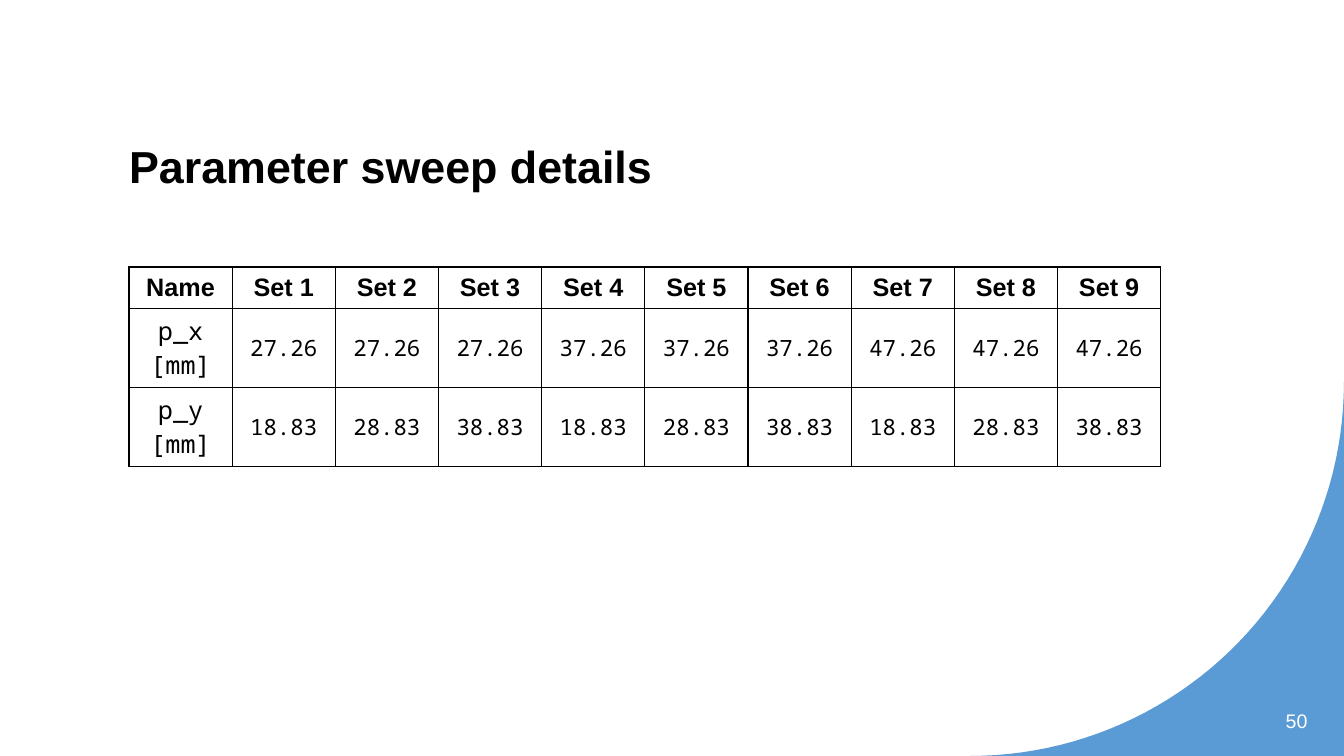
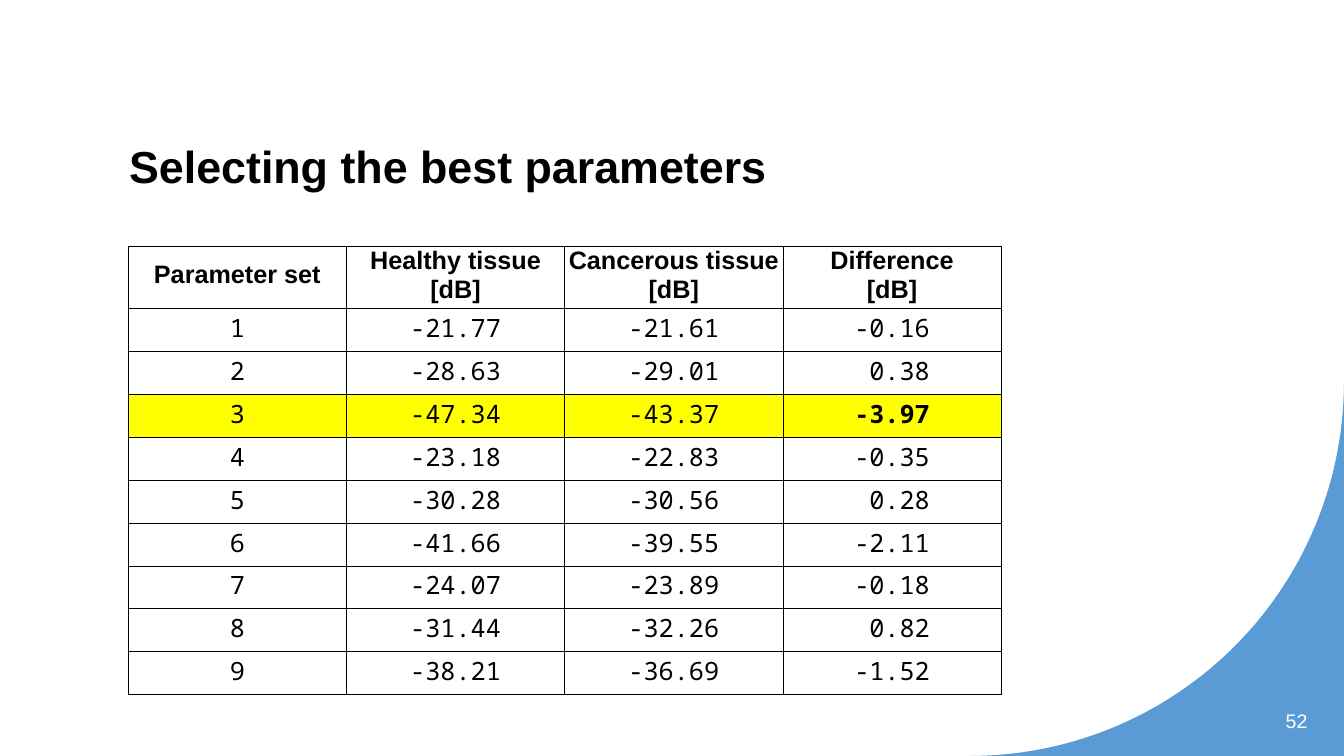
import math

import pptx
import pptx.dml.color
import pptx.enum.text
import pptx.oxml
import pptx.oxml.ns
import pptx.util

Cm, Pt = pptx.util.Cm, pptx.util.Pt
ALIGN, ANCHOR = pptx.enum.text.PP_ALIGN, pptx.enum.text.MSO_ANCHOR

# Content
SLIDES = [
    {
        "title": "Parameter sweep details",
        "number": "50",
        "rows": [
            ["Name"] + [f"Set {index}" for index in range(1, 10)],
            ["p_x [mm]"] + ["27.26"] * 3 + ["37.26"] * 3 + ["47.26"] * 3,
            ["p_y [mm]"] + ["18.83", "28.83", "38.83"] * 3,
        ],
        "left": 3.25, "top": 6.73, "column": 2.6, "heights": (1.04, 1.98),
        "margins": (0.25, 0.13, 0.25, 0.13), "border": 1, "value_size": 16,
    },
    {
        "title": "Selecting the best parameters",
        "number": "52",
        "rows": [
            ["Parameter set", "Healthy tissue [dB]", "Cancerous tissue [dB]", "Difference\n[dB]"],
            ["1", "-21.77", "-21.61", "-0.16"],
            ["2", "-28.63", "-29.01", "0.38"],
            ["3", "-47.34", "-43.37", "-3.97"],
            ["4", "-23.18", "-22.83", "-0.35"],
            ["5", "-30.28", "-30.56", "0.28"],
            ["6", "-41.66", "-39.55", "-2.11"],
            ["7", "-24.07", "-23.89", "-0.18"],
            ["8", "-31.44", "-32.26", "0.82"],
            ["9", "-38.21", "-36.69", "-1.52"],
        ],
        "left": 3.23, "top": 6.2, "column": 5.5, "heights": (1.58, 1.08),
        "margins": (0.02, 0.02, 0.02, 0.13), "border": 0.5, "value_size": 18,
        "best_row": 3, "signed_column": 3,
    },
]

# Shared style
COLORS = {"text": "000000", "corner": "5B9BD5", "number": "FFFFFF", "best": "FFFF00"}
SANS, MONO = "Arial", "Noto Sans Mono"
WIDTH, HEIGHT = 33.87, 19.05
CORNER = 9.42
SIGN_WIDTH = 0.38  # one monospaced character at 18 pt


def color(name):
    return pptx.dml.color.RGBColor.from_string(COLORS[name])


def set_font(para, size, name=SANS, bold=False, tone="text"):
    para.font.size, para.font.name, para.font.bold = Pt(size), name, bold
    para.font.color.rgb = color(tone)


def place(shape, left, top, width, height):
    shape.left, shape.top, shape.width, shape.height = map(Cm, (left, top, width, height))


def add_corner(page):
    """Fill the bottom right corner outside a quarter circle."""
    angles = [math.radians(step) for step in range(0, 91, 2)]
    arc = [(Cm(WIDTH - CORNER * (1 - math.cos(angle))),
            Cm(HEIGHT - CORNER * (1 - math.sin(angle)))) for angle in angles]
    outline = page.shapes.build_freeform(*arc[0])
    outline.add_line_segments(arc[1:] + [(Cm(WIDTH), Cm(HEIGHT))], close=True)
    corner = outline.convert_to_shape()
    corner.shadow.inherit = False
    corner.fill.solid()
    corner.fill.fore_color.rgb = color("corner")
    corner.line.fill.background()


def add_title(page, text):
    title = page.shapes.title
    place(title, 3, 2, 27.64, 4.2)
    title.text_frame.vertical_anchor = ANCHOR.MIDDLE
    para = title.text_frame.paragraphs[0]
    para.text, para.alignment, para.line_spacing = text, ALIGN.LEFT, 1.1
    set_font(para, 32, bold=True)


def add_number(page, number):
    box = page.shapes.add_textbox(Cm(32.05), Cm(17.65), Cm(1.15), Cm(1.02))
    box.text_frame.vertical_anchor = ANCHOR.MIDDLE
    box.text_frame.word_wrap = True
    para = box.text_frame.paragraphs[0]
    para.text, para.alignment = number, ALIGN.RIGHT
    set_font(para, 14, tone="number")


def add_borders(cell, points):
    properties = cell._tc.get_or_add_tcPr()
    for side in "LRTB":
        properties.append(pptx.oxml.parse_xml(
            f'<a:ln{side} {pptx.oxml.ns.nsdecls("a")} w="{Pt(points)}"><a:solidFill>'
            f'<a:srgbClr val="{COLORS["text"]}"/></a:solidFill></a:ln{side}>'))


def fill_cell(cell, text, row, column, content):
    header = row == 0
    best = row == content.get("best_row")
    signed = column == content.get("signed_column")
    left, top, right, bottom = content["margins"]
    # Positive values keep room for the missing minus sign
    if signed and not header and not text.startswith("-"):
        left += SIGN_WIDTH
    cell.margin_left, cell.margin_top = Cm(left), Cm(top)
    cell.margin_right, cell.margin_bottom = Cm(right), Cm(bottom)
    cell.vertical_anchor = ANCHOR.MIDDLE
    para = cell.text_frame.paragraphs[0]
    para.text, para.alignment = text, ALIGN.CENTER
    size = 18 if header or column == 0 else content["value_size"]
    set_font(para, size, SANS if header else MONO, header or (best and signed))
    add_borders(cell, content["border"])
    if best:
        cell.fill.solid()
        cell.fill.fore_color.rgb = color("best")
    else:
        cell.fill.background()


def add_data_table(page, content):
    rows = content["rows"]
    header_height, row_height = content["heights"]
    count = len(rows[0])
    frame = page.shapes.add_table(
        len(rows), count, Cm(content["left"]), Cm(content["top"]),
        Cm(content["column"] * count), Cm(header_height + row_height * (len(rows) - 1)))
    table = frame.table
    table.first_row = table.horz_banding = False
    for column in table.columns:
        column.width = Cm(content["column"])
    for row, texts in enumerate(rows):
        table.rows[row].height = Cm(row_height if row else header_height)
        for column, text in enumerate(texts):
            fill_cell(table.cell(row, column), text, row, column, content)


def main():
    deck = pptx.Presentation()
    deck.slide_width, deck.slide_height = Cm(WIDTH), Cm(HEIGHT)
    for content in SLIDES:
        page = deck.slides.add_slide(deck.slide_layouts[5])
        add_corner(page)
        add_title(page, content["title"])
        add_data_table(page, content)
        add_number(page, content["number"])
    deck.save("out.pptx")


if __name__ == "__main__":
    main()
